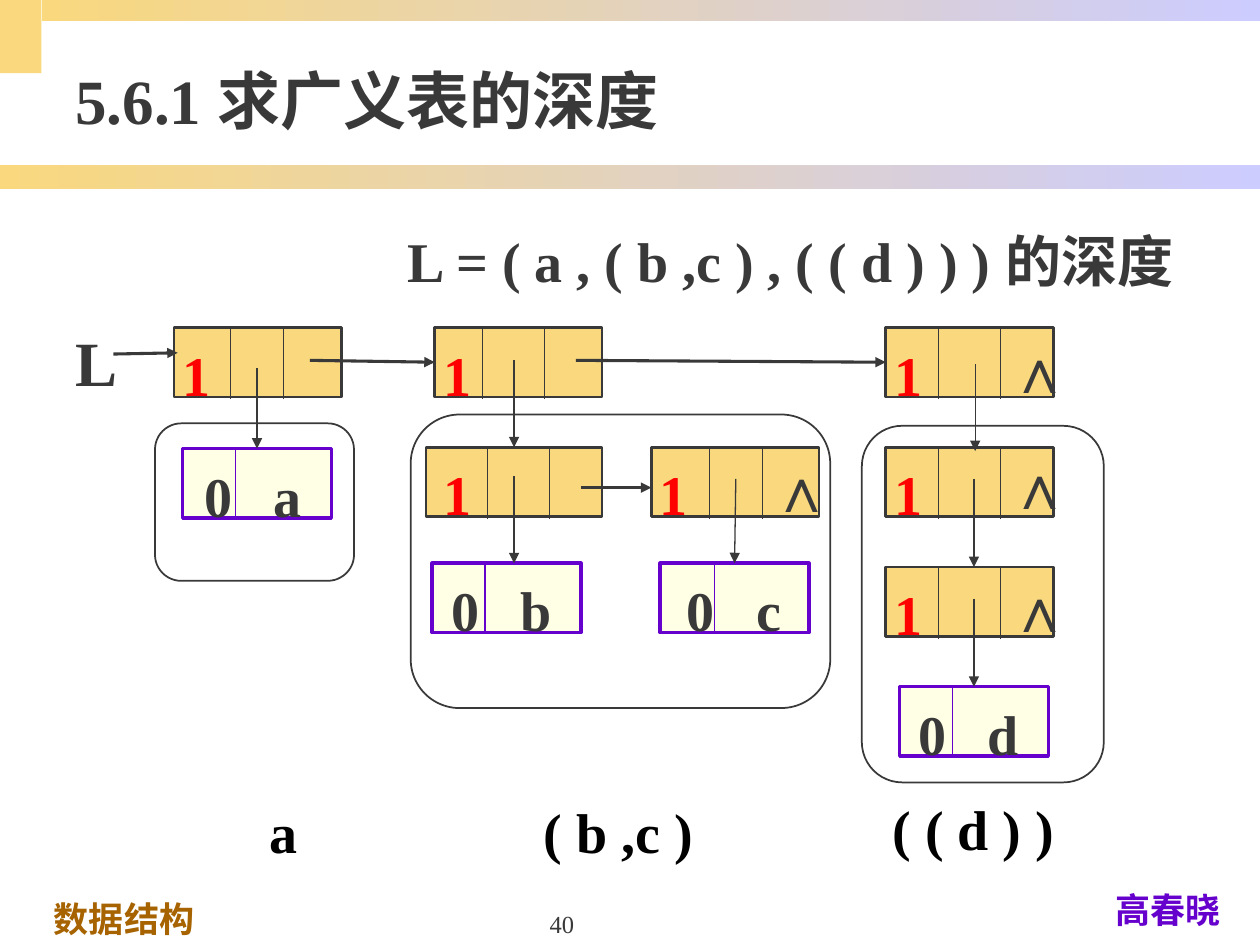
import pptx
import pptx.dml.color
import pptx.enum.dml
import pptx.enum.shapes
import pptx.enum.text
import pptx.oxml
import pptx.oxml.ns
import pptx.util
from lxml import etree

Inches = pptx.util.Inches
Pt = pptx.util.Pt
SHAPES = pptx.enum.shapes.MSO_SHAPE
ALIGN = pptx.enum.text.PP_ALIGN
ANCHOR = pptx.enum.text.MSO_ANCHOR
qn = pptx.oxml.ns.qn
color = pptx.dml.color.RGBColor.from_string

INK, GOLD, LILAC, PURPLE, RED = "393939", "F9D87E", "CCCCFF", "6600CC", "FF0000"


def write(shape, text, size, ink, bold=True, align=ALIGN.RIGHT, tab=None, **frame_format):
    """Put one formatted paragraph in a shape; tab is a tab stop in inches."""
    frame = shape.text_frame
    defaults = {"word_wrap": True, "vertical_anchor": ANCHOR.TOP, "margin_top": Inches(0.1),
                "margin_bottom": 0}
    for name, value in {**defaults, **frame_format}.items():
        setattr(frame, name, value)
    paragraph = frame.paragraphs[0]
    paragraph.text = text
    paragraph.alignment = align
    if tab:
        stops = etree.SubElement(paragraph._p.get_or_add_pPr(), qn("a:tabLst"))
        etree.SubElement(stops, qn("a:tab"), pos=str(Inches(tab)), algn="l")
    font = paragraph.runs[0].font
    for name, value in {"name": "Times New Roman", "size": Pt(size), "bold": bold}.items():
        setattr(font, name, value)
    font.color.rgb = color(ink)


def draw_line(x1, y1, x2, y2, ink=INK, width=0.75, arrow=False):
    line = slide.shapes.add_connector(pptx.enum.shapes.MSO_CONNECTOR.STRAIGHT,
                                      Inches(x1), Inches(y1), Inches(x2), Inches(y2))
    line.line.color.rgb = color(ink)
    line.line.width = Pt(width)
    if arrow:
        etree.SubElement(line.line._get_or_add_ln(), qn("a:tailEnd"), type="triangle")
    etree.SubElement(line._element.spPr, qn("a:effectLst"))
    return line


presentation = pptx.Presentation()
presentation.slide_width, presentation.slide_height = Inches(10), Inches(7.5)
slide = presentation.slides.add_slide(presentation.slide_layouts[6])

# Corner block and gradient bands
corner = slide.shapes.add_shape(SHAPES.RECTANGLE, 0, 0, Inches(0.33), Inches(0.58))
corner.shadow.inherit = False
corner.fill.solid()
corner.fill.fore_color.rgb = color(GOLD)
corner.line.fill.background()
for left, top, width, height in [(0, 1.31, 10, 0.19), (0.33, 0, 9.67, 0.17)]:
    band = slide.shapes.add_shape(SHAPES.RECTANGLE, Inches(left), Inches(top),
                                  Inches(width), Inches(height))
    band.shadow.inherit = False
    band.fill.gradient()
    band.fill.gradient_angle = 0
    for stop, ink in zip(band.fill.gradient_stops, (GOLD, LILAC)):
        stop.color.rgb = color(ink)
    band.line.fill.background()

# Frames around the sublists
for left, top, width, height in [(3.26, 3.29, 3.33, 2.33), (1.23, 3.36, 1.58, 1.25),
                                 (6.84, 3.38, 1.92, 2.83)]:
    sublist = slide.shapes.add_shape(SHAPES.FLOWCHART_ALTERNATE_PROCESS, Inches(left),
                                     Inches(top), Inches(width), Inches(height))
    sublist.shadow.inherit = False
    sublist.fill.background()
    sublist.line.color.rgb = color(INK)
    sublist.line.width = Pt(1)

# List nodes: left, top, width, two divider positions
CELL = 0.55
nodes = {}
for name, left, top, width, dividers in [
    ("first", 1.38, 2.6, 1.33, (1.83, 2.25)),
    ("second", 3.45, 2.6, 1.33, (3.83, 4.32)),
    ("third", 7.03, 2.6, 1.33, (7.45, 7.94)),
    ("b", 3.38, 3.55, 1.4, (3.87, 4.36)),
    ("c", 5.17, 3.55, 1.33, (5.63, 6.05)),
    ("outer d", 7.03, 3.55, 1.33, (7.45, 7.94)),
    ("inner d", 7.03, 4.5, 1.33, (7.45, 7.94)),
]:
    node = slide.shapes.add_shape(SHAPES.RECTANGLE, Inches(left), Inches(top),
                                  Inches(width), Inches(CELL))
    node.shadow.inherit = False
    node.fill.solid()
    node.fill.fore_color.rgb = color(GOLD)
    node.line.color.rgb = color(INK)
    node.line.width = Pt(1.5)
    write(node, "1", 32, RED, margin_left=0, margin_right=Inches(1.04))
    for x in dividers:
        draw_line(x, top, x, top + 0.57)
    nodes[name] = node

# Atom nodes: left, top, divider offset, text indent
atoms = {}
for letter, left, top, divider, indent in [("a", 1.45, 3.56, 0.42, 0.17),
                                           ("b", 3.43, 4.47, 0.42, 0.15),
                                           ("c", 5.24, 4.47, 0.43, 0.21),
                                           ("d", 7.14, 5.45, 0.42, 0.15)]:
    atom = slide.shapes.add_shape(SHAPES.RECTANGLE, Inches(left), Inches(top),
                                  Inches(1.18), Inches(CELL))
    atom.shadow.inherit = False
    atom.fill.solid()
    atom.fill.fore_color.rgb = color("FFFFCC")
    tint = atom.fill._xPr.find(qn("a:solidFill"))[0]
    etree.SubElement(tint, qn("a:alpha"), val="50000")
    atom.line.color.rgb = color(PURPLE)
    atom.line.width = Pt(2)
    write(atom, f"0\t{letter}", 32, INK, align=ALIGN.LEFT, tab=0.55,
          margin_left=Inches(indent), margin_right=0)
    draw_line(left + divider, top, left + divider, top + CELL, PURPLE)
    atoms[letter] = atom

# Pointers: ends, width, and the node joined at its top (0) or left (1)
for x1, y1, x2, y2, width, target, site in [
    (0.9, 2.81, 1.41, 2.8, 1.75, None, None),
    (2.46, 2.86, 3.45, 2.86, 1.75, nodes["second"], 1),
    (4.57, 2.86, 7.03, 2.86, 1.75, nodes["third"], 1),
    (4.61, 3.87, 5.17, 3.87, 1.75, None, None),
    (2.04, 2.92, 2.04, 3.61, 0.75, atoms["a"], 0),
    (4.08, 2.86, 4.08, 3.55, 0.75, nodes["b"], 0),
    (4.08, 3.78, 4.08, 4.47, 0.75, None, None),
    (5.84, 3.8, 5.84, 4.5, 0.75, atoms["c"], 0),
    (7.74, 2.89, 7.74, 3.58, 0.75, None, None),
    (7.73, 3.8, 7.73, 4.5, 0.75, None, None),
    (7.73, 4.75, 7.73, 5.45, 0.75, atoms["d"], 0),
]:
    pointer = draw_line(x1, y1, x2, y2, width=width, arrow=True)
    if target is not None:
        pointer.end_connect(target, site)

# Title, labels, null marks and footer
middle = {"vertical_anchor": ANCHOR.MIDDLE, "margin_top": Inches(0.05),
          "margin_bottom": Inches(0.05), "align": ALIGN.LEFT}
number = {**middle, "vertical_anchor": ANCHOR.BOTTOM, "align": ALIGN.CENTER, "bold": False}
null_mark = {"bold": False, "word_wrap": False}
low = {"margin_top": Inches(0.17)}
footer = {"margin_top": Inches(0.05)}
for text, left, top, width, height, size, ink, text_format in [
    ("5.6.1 求广义表的深度", 0.5, 0.25, 9.5, 1.07, 36, INK, middle),
    ("L = ( a , ( b ,c ) , ( ( d ) ) ) 的深度", 0.42, 1.7, 8.99, 0.63, 32, INK, {}),
    ("L", 0.5, 2.47, 0.53, 0.7, 36, INK, {"word_wrap": False}),
    ("∧", 7.91, 2.52, 0.5, 0.7, 36, INK, null_mark),
    ("∧", 7.91, 3.44, 0.5, 0.7, 36, INK, null_mark),
    ("∧", 7.91, 4.42, 0.5, 0.7, 36, INK, null_mark),
    ("∧", 6.02, 3.47, 0.5, 0.7, 36, INK, null_mark),
    ("a", 1.87, 6.16, 0.59, 0.77, 32, "000000", low),
    ("( b ,c )", 4.21, 6.16, 1.39, 0.77, 32, "000000", {**low, "word_wrap": False}),
    ("( ( d ) )", 6.87, 6.21, 1.71, 0.63, 32, "000000", {"align": ALIGN.CENTER}),
    ("数据结构", 0.33, 7.07, 3.5, 0.43, 20, "A66300", {**footer, "align": ALIGN.LEFT}),
    ("高春晓", 8.62, 7, 1.3, 0.43, 20, PURPLE, {**footer, "align": ALIGN.CENTER}),
    ("40", 3.42, 7, 2.08, 0.5, 14, INK, number),
]:
    label = slide.shapes.add_textbox(Inches(left), Inches(top), Inches(width), Inches(height))
    write(label, text, size, ink, **text_format)

presentation.save("out.pptx")
